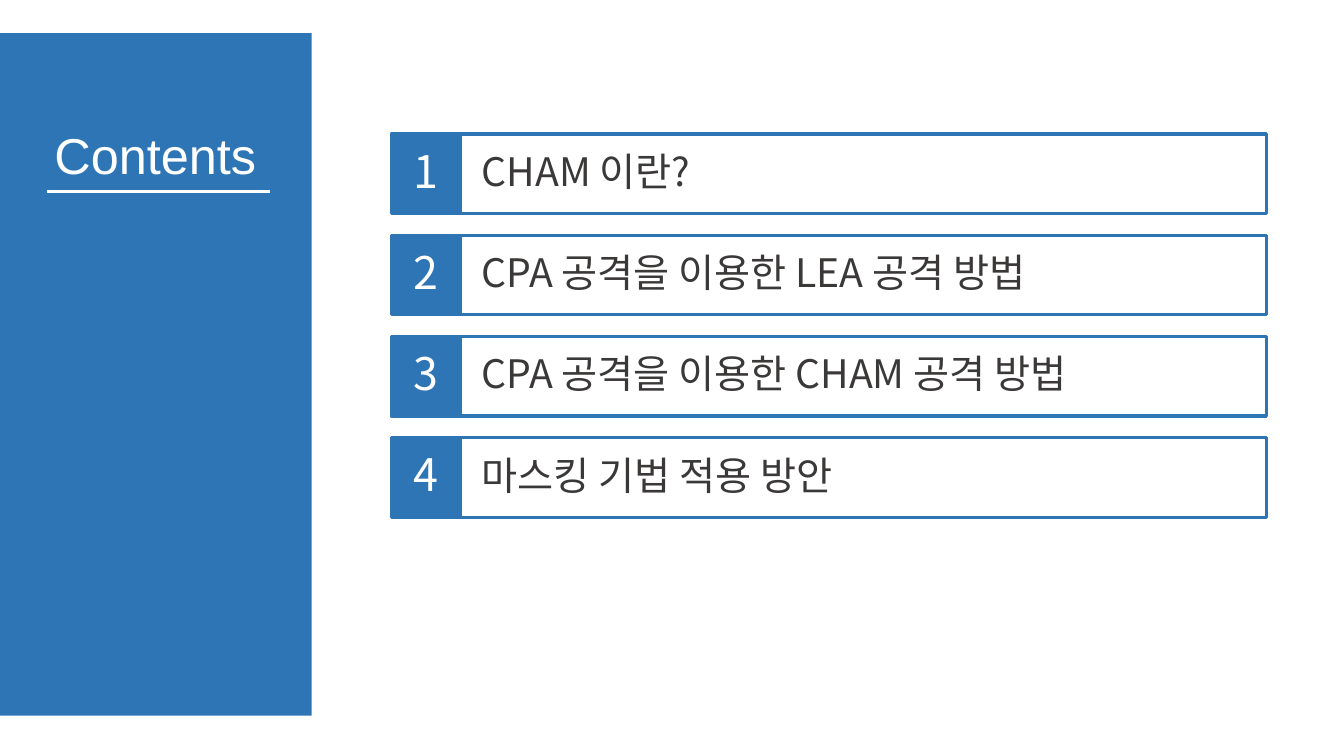
from pptx import Presentation
from pptx.dml.color import RGBColor
from pptx.enum.shapes import MSO_CONNECTOR as Connector, MSO_SHAPE as Shape
from pptx.enum.text import MSO_ANCHOR as Anchor, PP_ALIGN as Align
from pptx.oxml.ns import qn
from pptx.util import Inches, Pt
from lxml import etree

BLUE = RGBColor(0x2E, 0x75, 0xB6)
WHITE = RGBColor(0xFF, 0xFF, 0xFF)
DARK = RGBColor(0x3B, 0x38, 0x38)
KOREAN_FONT = "Noto Sans CJK KR"

TOPICS = [
    "CHAM 이란?",
    "CPA 공격을 이용한 LEA 공격 방법",
    "CPA 공격을 이용한 CHAM 공격 방법",
    "마스킹 기법 적용 방안",
]
FIRST_TOP, LAST_TOP, ROW_HEIGHT = 1.33, 4.34, 0.79
ROW_STEP = (LAST_TOP - FIRST_TOP) / (len(TOPICS) - 1)


def add_box(left, top, width, height, fill=None, line=None):
    shape = slide.shapes.add_shape(
        Shape.RECTANGLE, Inches(left), Inches(top), Inches(width), Inches(height))
    shape.shadow.inherit = False
    if fill is None:
        shape.fill.background()
    else:
        shape.fill.solid()
        shape.fill.fore_color.rgb = fill
    if line is None:
        shape.line.fill.background()
    else:
        shape.line.color.rgb = line
        shape.line.width = Pt(2.25)
    return shape


def write(shape, text, color, align, font_format):
    frame = shape.text_frame
    frame.word_wrap = True
    frame.vertical_anchor = Anchor.MIDDLE
    paragraph = frame.paragraphs[0]
    paragraph.alignment = align
    paragraph.line_spacing = 0.9
    run = paragraph.add_run()
    run.text = text
    for name, value in font_format.items():
        setattr(run.font, name, value)
    run.font.color.rgb = color
    # The East Asian face follows the Latin one
    latin = run.font._element.find(qn("a:latin"))
    east_asian = etree.Element(qn("a:ea"), typeface=font_format["name"])
    latin.addnext(east_asian)


presentation = Presentation()
presentation.slide_width = Inches(13.33)
presentation.slide_height = Inches(7.5)
slide = presentation.slides.add_slide(presentation.slide_layouts[5])

# Side panel with the title in front of it
panel = add_box(0, 0.33, 3.09, 6.77, fill=BLUE)
title = slide.shapes.title
title.element.addprevious(panel.element)
title.left, title.top = Inches(0.23), Inches(1.33)
title.width, title.height = Inches(2.62), Inches(0.47)
write(title, "Contents", WHITE, Align.CENTER, {"name": "Arial", "size": Pt(36)})

# Rule under the title
rule = slide.shapes.add_connector(
    Connector.STRAIGHT, Inches(0.47), Inches(1.9), Inches(2.68), Inches(1.9))
rule.line.color.rgb = WHITE
rule.line.width = Pt(1.5)
etree.SubElement(rule.element.spPr, qn("a:effectLst"))

# Numbered topics: frame, number, text
for index, topic in enumerate(TOPICS):
    top = FIRST_TOP + index * ROW_STEP
    add_box(4.49, top, 8.07, ROW_HEIGHT, line=BLUE)
    number = add_box(3.88, top, 0.69, ROW_HEIGHT, fill=BLUE, line=BLUE)
    write(number, str(index + 1), WHITE, Align.CENTER,
          {"name": KOREAN_FONT, "size": Pt(32)})
    label = slide.shapes.add_textbox(
        Inches(4.68), Inches(top), Inches(7.87), Inches(ROW_HEIGHT))
    write(label, topic, DARK, Align.LEFT, {"name": KOREAN_FONT, "size": Pt(28)})

presentation.save("out.pptx")
